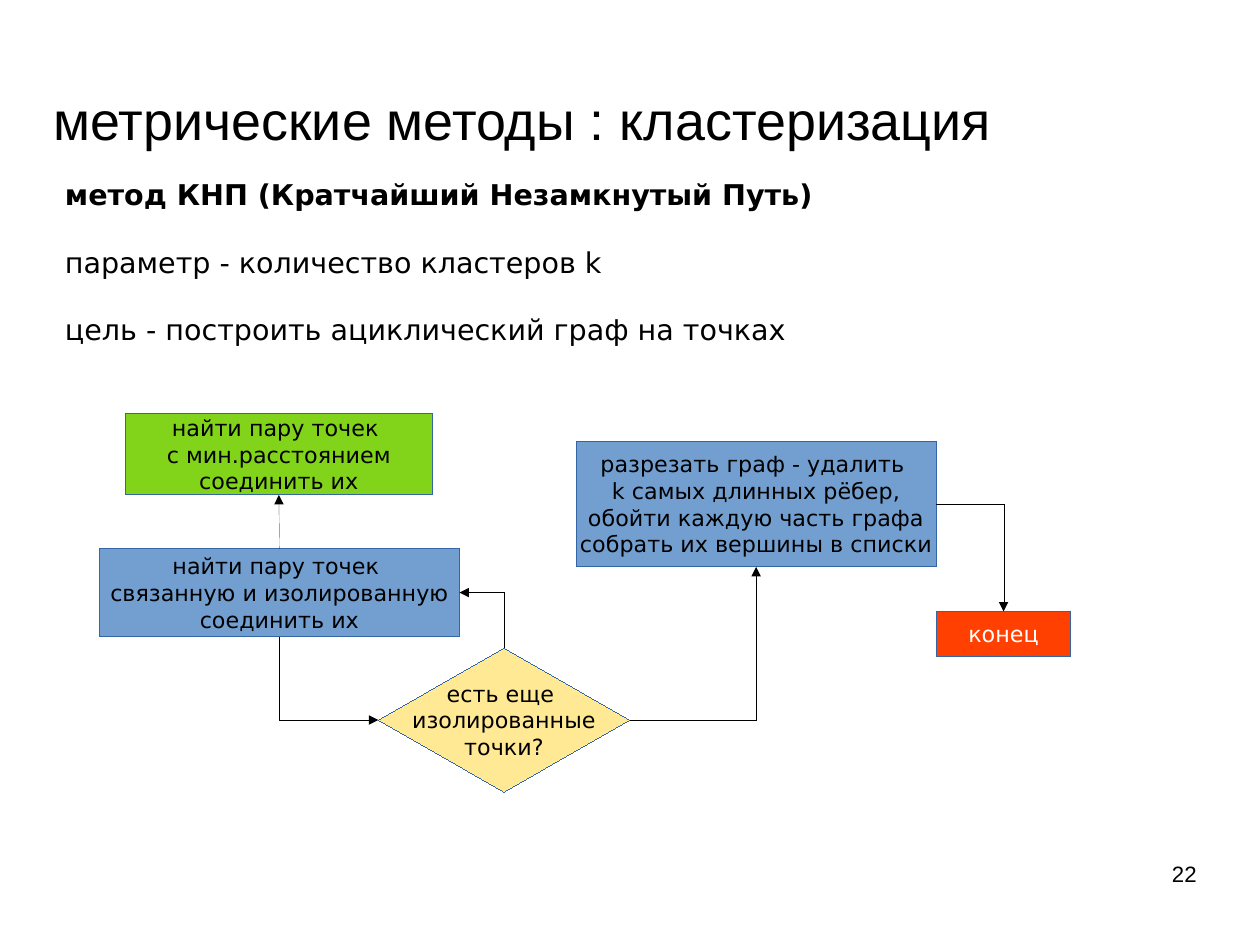
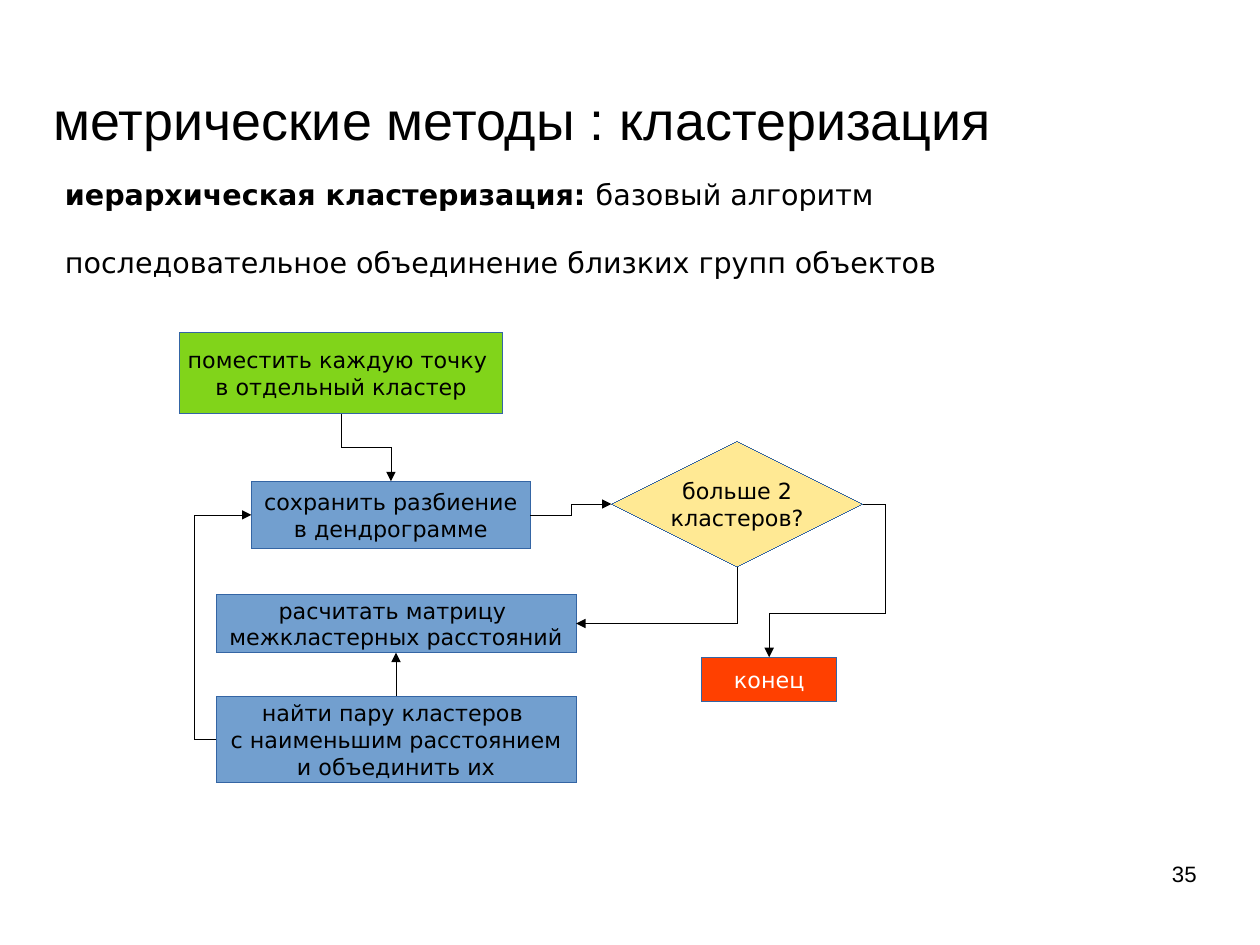
"""Build two flowchart slides about metric clustering methods."""
from dataclasses import dataclass

from lxml.etree import SubElement
from pptx import Presentation
from pptx.dml.color import RGBColor
from pptx.enum.shapes import MSO_CONNECTOR, MSO_SHAPE
from pptx.enum.text import MSO_ANCHOR, PP_ALIGN
from pptx.oxml.ns import qn
from pptx.presentation import Presentation as Deck
from pptx.shapes.autoshape import Shape
from pptx.shapes.connector import Connector
from pptx.slide import Slide
from pptx.text.text import TextFrame, _Paragraph
from pptx.util import Inches, Pt

COLORS = {
    "text": "000000",
    "end_text": "FFFFFF",
    "outline": "3465A4",
    "start": "81D41A",
    "step": "729FCF",
    "decision": "FFE994",
    "end": "FF4000",
}
CM_PER_INCH = 2.54
TITLE = "метрические методы : кластеризация"
TITLE_FONT = "Arial"
BODY_FONT = "DejaVu Sans"
TOP, LEFT, BOTTOM, RIGHT = range(4)


@dataclass(frozen=True)
class Node:
    """One flowchart block, with lengths in inches."""
    role: str
    left: float
    top: float
    width: float
    height: float
    text: str


@dataclass(frozen=True)
class Link:
    """An arrow between block sides; bends are elbow positions as fractions."""
    source: str
    source_side: int
    target: str
    target_side: int
    bends: tuple[float, ...] = ()


@dataclass(frozen=True)
class Flowchart:
    """Content of one slide; each intro line is a bold and a plain part."""
    number: int
    intro_width: float
    intro: tuple[tuple[str, str], ...]
    nodes: dict[str, Node]
    links: tuple[Link, ...]


FLOWCHARTS = (
    Flowchart(
        22, 7.24,
        (
            ("метод КНП (Кратчайший Незамкнутый Путь)", ""),
            ("", "параметр - количество кластеров k"),
            ("", "цель - построить ациклический граф на точках"),
        ),
        {
            "attach": Node("step", 0.87, 4.8, 3.15, 0.77,
                           "найти пару точек \nсвязанную и изолированную\nсоединить их"),
            "end": Node("end", 8.19, 5.35, 1.18, 0.39, "конец"),
            "isolated": Node("decision", 3.31, 5.67, 2.2, 1.26,
                             "есть еще \nизолированные\nточки?"),
            "closest": Node("start", 1.1, 3.62, 2.68, 0.71,
                            "найти пару точек \nс мин.расстоянием\nсоединить их"),
            "cut": Node("step", 5.04, 3.86, 3.15, 1.1,
                        "разрезать граф - удалить \nk самых длинных рёбер,\n"
                        "обойти каждую часть графа\nсобрать их вершины в списки"),
        },
        (
            Link("attach", BOTTOM, "isolated", LEFT),
            Link("isolated", TOP, "attach", RIGHT),
            Link("isolated", RIGHT, "cut", BOTTOM),
            Link("attach", TOP, "closest", BOTTOM),
            Link("cut", RIGHT, "end", TOP),
        ),
    ),
    Flowchart(
        35, 8.27,
        (
            ("иерархическая кластеризация: ", "базовый алгоритм"),
            ("", "последовательное объединение близких групп объектов"),
        ),
        {
            "merge": Node("step", 1.89, 6.09, 3.15, 0.76,
                          "найти пару кластеров \nс наименьшим расстоянием\nи объединить их"),
            "end": Node("end", 6.14, 5.75, 1.18, 0.39, "конец"),
            "more": Node("decision", 5.35, 3.86, 2.2, 1.1, "больше 2\nкластеров?"),
            "singles": Node("start", 1.57, 2.91, 2.83, 0.71,
                            "поместить каждую точку \nв отдельный кластер"),
            "matrix": Node("step", 1.89, 5.2, 3.15, 0.51,
                           "расчитать матрицу \nмежкластерных расстояний"),
            "save": Node("step", 2.2, 4.21, 2.44, 0.59,
                         "сохранить разбиение\nв дендрограмме"),
        },
        (
            Link("more", BOTTOM, "matrix", RIGHT),
            Link("more", RIGHT, "end", TOP, (-0.24, 0.71)),
            Link("singles", BOTTOM, "save", TOP, (0.5,)),
            Link("merge", TOP, "matrix", BOTTOM),
            Link("save", RIGHT, "more", LEFT, (0.5,)),
            Link("merge", LEFT, "save", LEFT, (-0.63,)),
        ),
    ),
)


def rgb(name: str) -> RGBColor:
    """Return a palette colour."""
    return RGBColor.from_string(COLORS[name])


def style(paragraph: _Paragraph, size: float, family: str,
          align: PP_ALIGN = PP_ALIGN.LEFT, color: str = "text") -> None:
    """Format a whole paragraph."""
    paragraph.alignment = align
    paragraph.font.size = Pt(size)
    paragraph.font.name = family
    paragraph.font.color.rgb = rgb(color)


def set_hairline(part: Shape | Connector, color: str) -> None:
    """Give a part the thinnest line in a palette colour."""
    part.line.color.rgb = rgb(color)
    part._element.spPr.find(qn("a:ln")).set("w", "0")


def clear_insets(frame: TextFrame) -> None:
    """Remove the inner margins of a text frame."""
    frame.margin_left = frame.margin_right = 0
    frame.margin_top = frame.margin_bottom = 0


def add_title(slide: Slide) -> None:
    """Fill and place the title placeholder."""
    title = slide.shapes.title
    title.left, title.top = Inches(0.47), Inches(0.78)
    title.width, title.height = Inches(8.74), Inches(0.53)
    frame = title.text_frame
    frame.text = TITLE
    frame.vertical_anchor = MSO_ANCHOR.MIDDLE
    clear_insets(frame)
    style(frame.paragraphs[0], 33.9, TITLE_FONT)


def add_page_number(slide: Slide, number: int) -> None:
    """Write the page number at the lower right."""
    frame = slide.shapes.add_textbox(
        Inches(7.9), Inches(7.53), Inches(2.57), Inches(0.57)).text_frame
    frame.word_wrap = True
    frame.text = str(number)
    clear_insets(frame)
    style(frame.paragraphs[0], 14, TITLE_FONT, PP_ALIGN.RIGHT)


def add_intro(slide: Slide, chart: Flowchart) -> None:
    """Write the lines above the flowchart."""
    height = 0.41 + 0.6 * (len(chart.intro) - 1)
    frame = slide.shapes.add_textbox(
        Inches(0.47), Inches(1.5), Inches(chart.intro_width), Inches(height)).text_frame
    frame.word_wrap = True
    for index, parts in enumerate(chart.intro):
        paragraph = frame.add_paragraph() if index else frame.paragraphs[0]
        if index:
            paragraph.space_before = Pt(21)
        style(paragraph, 18, BODY_FONT)
        for text, bold in zip(parts, (True, False)):
            if text:
                run = paragraph.add_run()
                run.text = text
                run.font.bold = bold


def add_node(slide: Slide, node: Node) -> Shape:
    """Draw one flowchart block."""
    preset = MSO_SHAPE.DIAMOND if node.role == "decision" else MSO_SHAPE.RECTANGLE
    block = slide.shapes.add_shape(
        preset, Inches(node.left), Inches(node.top), Inches(node.width), Inches(node.height))
    block.shadow.inherit = False
    block.fill.solid()
    block.fill.fore_color.rgb = rgb(node.role)
    set_hairline(block, "outline")
    frame = block.text_frame
    frame.text = node.text
    frame.word_wrap = False
    frame.vertical_anchor = MSO_ANCHOR.MIDDLE
    color = "end_text" if node.role == "end" else "text"
    for paragraph in frame.paragraphs:
        style(paragraph, 14, BODY_FONT, PP_ALIGN.CENTER, color)
    return block


def side_point(block: Shape, side: int) -> tuple[int, int]:
    """Return the middle of a block's side."""
    across, down = ((1, 0), (0, 1), (1, 2), (2, 1))[side]
    return block.left + block.width * across // 2, block.top + block.height * down // 2


def add_link(slide: Slide, link: Link, blocks: dict[str, Shape]) -> None:
    """Join two blocks with a straight or elbow arrow."""
    source, target = blocks[link.source], blocks[link.target]
    x1, y1 = side_point(source, link.source_side)
    x2, y2 = side_point(target, link.target_side)
    straight = abs(x2 - x1) < Inches(0.01)
    kind = MSO_CONNECTOR.STRAIGHT if straight else MSO_CONNECTOR.ELBOW
    arrow = slide.shapes.add_connector(kind, x1, y1, x2, y2)
    arrow.begin_connect(source, link.source_side)
    arrow.end_connect(target, link.target_side)
    set_hairline(arrow, "text")
    properties = arrow._element.spPr
    SubElement(properties.find(qn("a:ln")), qn("a:tailEnd"), type="triangle")
    SubElement(properties, qn("a:effectLst"))
    if straight:
        return

    dx, dy = x2 - x1, y2 - y1
    if link.source_side in (LEFT, RIGHT):
        width, height, turn = abs(dx), abs(dy), 0
        flips = (dx < 0, dy < 0)
    else:
        width, height, turn = abs(dy), abs(dx), 270
        flips = (dy > 0, dx < 0)
        if all(flips):
            turn, flips = 90, (False, False)
    arrow.left, arrow.top = (x1 + x2 - width) // 2, (y1 + y2 - height) // 2
    arrow.width, arrow.height = width, height
    transform = properties.find(qn("a:xfrm"))
    transform.set("rot", str(turn * 60000))
    for name, flipped in zip(("flipH", "flipV"), flips):
        transform.set(name, str(int(flipped)))
    geometry = properties.find(qn("a:prstGeom"))
    geometry.set("prst", f"bentConnector{2 + len(link.bends)}")
    for index, bend in enumerate(link.bends, 1):
        SubElement(geometry.find(qn("a:avLst")), qn("a:gd"),
                   name=f"adj{index}", fmla=f"val {round(bend * 100000)}")


def add_flowchart(deck: Deck, chart: Flowchart) -> None:
    """Build one slide."""
    slide = deck.slides.add_slide(deck.slide_layouts[5])
    add_title(slide)
    add_intro(slide, chart)
    blocks = {name: add_node(slide, node) for name, node in chart.nodes.items()}
    for link in chart.links:
        add_link(slide, link, blocks)
    add_page_number(slide, chart.number)


def main() -> None:
    """Create and save the presentation."""
    deck = Presentation()
    deck.slide_width = Inches(28 / CM_PER_INCH)
    deck.slide_height = Inches(21 / CM_PER_INCH)
    for chart in FLOWCHARTS:
        add_flowchart(deck, chart)
    deck.save("out.pptx")


if __name__ == "__main__":
    main()
